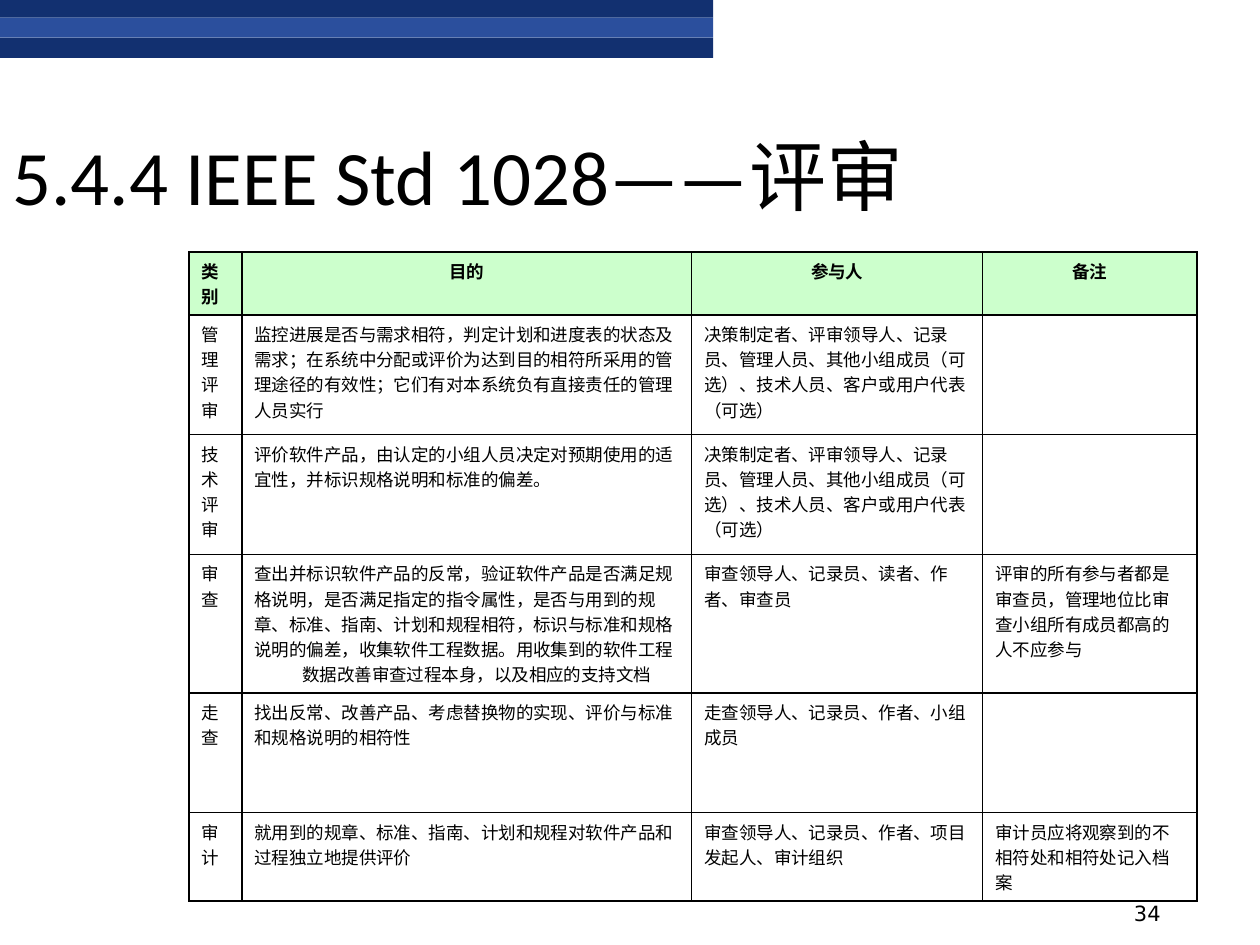
from lxml.etree import SubElement
from pptx import Presentation
from pptx.dml.color import RGBColor
from pptx.enum.shapes import MSO_SHAPE
from pptx.enum.text import MSO_ANCHOR, PP_ALIGN
from pptx.oxml.ns import qn
from pptx.util import Inches, Pt

BLACK, NAVY, BLUE, MINT = "000000", "123070", "2B4F9D", "CCFFCC"
CJK = "Noto Sans CJK SC"
INDENT = Inches(0.38)

COLUMNS = [0.42, 3.57, 2.31, 1.7]
ROW_HEIGHTS = [0.5, 0.95, 0.95, 1.1, 0.95, 0.7]
REVIEWERS = "决策制定者、评审领导人、记录\n员、管理人员、其他小组成员（可\n选）、技术人员、客户或用户代表\n（可选）"
ROWS = [
    ["类\n别", "目的", "参与人", "备注"],
    ["管\n理\n评\n审",
     "监控进展是否与需求相符，判定计划和进度表的状态及\n"
     "需求；在系统中分配或评价为达到目的相符所采用的管\n"
     "理途径的有效性；它们有对本系统负有直接责任的管理\n人员实行",
     REVIEWERS, ""],
    ["技\n术\n评\n审",
     "评价软件产品，由认定的小组人员决定对预期使用的适\n宜性，并标识规格说明和标准的偏差。",
     REVIEWERS, ""],
    ["审\n查",
     "查出并标识软件产品的反常，验证软件产品是否满足规\n"
     "格说明，是否满足指定的指令属性，是否与用到的规\n"
     "章、标准、指南、计划和规程相符，标识与标准和规格\n"
     "说明的偏差，收集软件工程数据。用收集到的软件工程数据改善审查过程本身，以及相应的支持文档",
     "审查领导人、记录员、读者、作\n者、审查员",
     "评审的所有参与者都是\n审查员，管理地位比审\n查小组所有成员都高的\n人不应参与"],
    ["走\n查",
     "找出反常、改善产品、考虑替换物的实现、评价与标准\n和规格说明的相符性",
     "走查领导人、记录员、作者、小组\n成员", ""],
    ["审\n计",
     "就用到的规章、标准、指南、计划和规程对软件产品和\n过程独立地提供评价",
     "审查领导人、记录员、作者、项目\n发起人、审计组织",
     "审计员应将观察到的不\n相符处和相符处记入档\n案"],
]


def rgb(color):
    return RGBColor.from_string(color)


def set_font(p, name, size, bold=False):
    p.font.name = name
    p.font.size = Pt(size)
    p.font.bold = bold
    p.font.color.rgb = rgb(BLACK)


def add_band(s, top, height, color):
    sp = s.shapes.add_shape(MSO_SHAPE.RECTANGLE, 0, Inches(top), Inches(5.66), Inches(height))
    sp.shadow.inherit = False
    sp.fill.solid()
    sp.fill.fore_color.rgb = rgb(color)
    sp.line.fill.background()


def add_text(s, box, text, font, size, align=PP_ALIGN.LEFT, spacing=1.0):
    """Place one bottom-anchored paragraph; box is left, top, width, height in inches."""
    tf = s.shapes.add_textbox(*map(Inches, box)).text_frame
    tf.word_wrap = True
    tf.vertical_anchor = MSO_ANCHOR.BOTTOM
    p = tf.paragraphs[0]
    p.text = text
    p.alignment = align
    p.line_spacing = spacing
    set_font(p, font, size)


def set_borders(cell):
    tcPr = cell._tc.get_or_add_tcPr()
    for i, side in enumerate(("a:lnL", "a:lnR", "a:lnT", "a:lnB")):
        ln = tcPr.makeelement(qn(side), {"w": str(Pt(1))})
        fill = SubElement(ln, qn("a:solidFill"))
        SubElement(fill, qn("a:srgbClr"), val=BLACK)
        tcPr.insert(i, ln)


def fill_cell(cell, text, header, centred):
    if header:
        cell.fill.solid()
        cell.fill.fore_color.rgb = rgb(MINT)
    else:
        cell.fill.background()
    set_borders(cell)
    cell.text = text
    for p in cell.text_frame.paragraphs:
        p.alignment = PP_ALIGN.CENTER if centred else PP_ALIGN.LEFT
        set_font(p, CJK, 10, header)
        pPr = p._p.get_or_add_pPr()
        pPr.set("marL", str(INDENT))
        pPr.set("indent", str(-INDENT))


def add_review_table(s):
    table = s.shapes.add_table(len(ROWS), len(COLUMNS), Inches(1.5), Inches(2),
                               Inches(sum(COLUMNS)), Inches(sum(ROW_HEIGHTS))).table
    table.first_row = table.horz_banding = False
    for column, width in zip(table.columns, COLUMNS):
        column.width = Inches(width)
    for r, (row, height) in enumerate(zip(ROWS, ROW_HEIGHTS)):
        table.rows[r].height = Inches(height)
        for c, text in enumerate(row):
            fill_cell(table.cell(r, c), text, r == 0, r == 0 and c > 0)


def main():
    prs = Presentation()
    prs.slide_width, prs.slide_height = Inches(10), Inches(7.5)
    s = prs.slides.add_slide(prs.slide_layouts[6])
    for top, height, color in [(0, 0.14, NAVY), (0.14, 0.16, BLUE), (0.3, 0.16, NAVY)]:
        add_band(s, top, height, color)
    add_text(s, (7.06, 7, 2.25, 0.4), "34", "DejaVu Sans", 12, PP_ALIGN.RIGHT)
    add_text(s, (0, 0.5, 8.52, 1.31), "5.4.4 IEEE Std 1028——评审", "Calibri", 44, spacing=0.9)
    add_review_table(s)
    prs.save("out.pptx")


if __name__ == "__main__":
    main()
